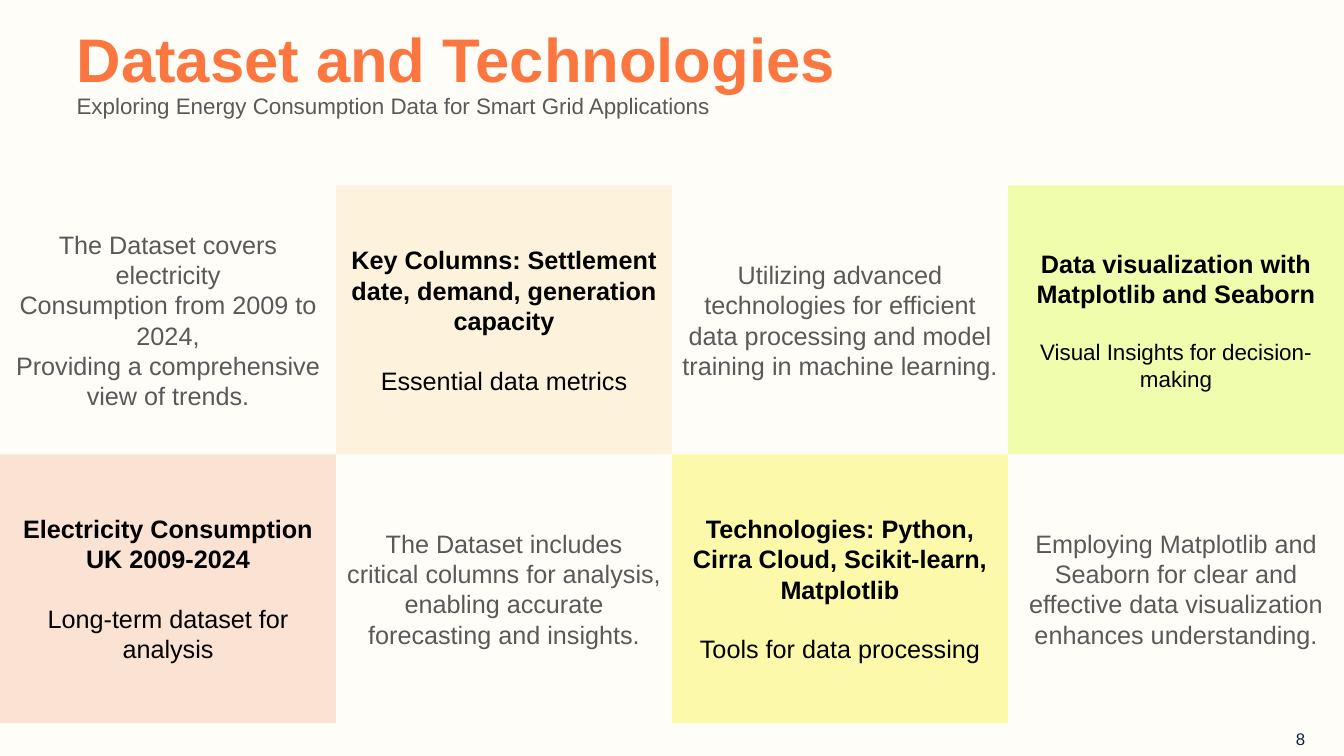
from lxml.etree import SubElement
from pptx import Presentation
from pptx.dml.color import RGBColor as RGB
from pptx.enum.shapes import MSO_SHAPE as Shape
from pptx.enum.text import MSO_ANCHOR as Anchor, MSO_AUTO_SIZE as AutoSize, PP_ALIGN as Align
from pptx.oxml.ns import qn
from pptx.util import Pt

COLORS = {
    "background": "FFFDF8", "orange": "FC7740", "gray": "595959",
    "black": "000000", "navy": "0F253E", "sand": "F8D48A",
    "peach": "F7CFB6", "yellow": "FDF66A", "lime": "DFFE5A",
}
COLUMN, ROW, GRID_TOP = 240, 192, 132.5

# Tiles: column, row, fill, opacity in percent, heading, caption, caption size
TILES = [
    (1, 0, "sand", 25, "Key Columns: Settlement date, demand, generation capacity",
     "Essential data metrics", 18),
    (0, 1, "peach", 55, "Electricity Consumption UK 2009-2024",
     "Long-term dataset for analysis", 18),
    (2, 1, "yellow", 55, "Technologies: Python, Cirra Cloud, Scikit-learn, Matplotlib",
     "Tools for data processing", 18),
    (3, 0, "lime", 47, "Data visualization with Matplotlib and Seaborn",
     "Visual Insights for decision-making", 16),
]

# Explanations: column, row, paragraphs
EXPLANATIONS = [
    (0, 0, ["The Dataset covers electricity", "Consumption from 2009 to 2024,",
            "Providing a comprehensive view of trends."]),
    (2, 0, ["Utilizing advanced technologies for efficient data processing "
            "and model training in machine learning."]),
    (1, 1, ["The Dataset includes",
            "critical columns for analysis, enabling accurate forecasting and insights."]),
    (3, 1, ["Employing Matplotlib and Seaborn for clear and effective data "
            "visualization enhances understanding."]),
]


class Deck:
    """Holds the style and the current slide."""

    font = "Arial"
    frame_format = {"word_wrap": True, "auto_size": AutoSize.NONE,
                    "vertical_anchor": Anchor.MIDDLE,
                    "margin_left": Pt(6), "margin_right": Pt(6)}

    def __init__(self, slide):
        self.slide = slide
        fill = slide.background.fill
        fill.solid()
        fill.fore_color.rgb = RGB.from_string(COLORS["background"])

    def apply(self, target, values):
        for name, value in values.items():
            setattr(target, name, value)

    def run(self, paragraph, text, size, color, bold=False):
        run = paragraph.add_run()
        run.text = text
        self.apply(run.font, {"name": self.font, "size": Pt(size), "bold": bold})
        run.font.color.rgb = RGB.from_string(COLORS[color])

    def set_lines(self, shape, lines):
        """Each line is text, size, colour, bold, space before."""
        frame = shape.text_frame
        self.apply(frame, self.frame_format)
        for index, (text, size, color, bold, gap) in enumerate(lines):
            paragraph = frame.add_paragraph() if index else frame.paragraphs[0]
            self.apply(paragraph, {"alignment": Align.CENTER, "space_before": Pt(gap)})
            self.run(paragraph, text, size, color, bold)

    def title(self, heading, subtitle):
        title = self.slide.shapes.title
        self.apply(title, {"left": Pt(47.5), "top": Pt(5.8),
                           "width": Pt(559.5), "height": Pt(94.3)})
        self.apply(title.text_frame, self.frame_format)
        self.apply(title.text_frame, {"margin_left": Pt(7.2)})
        paragraph = title.text_frame.paragraphs[0]
        self.apply(paragraph, {"alignment": Align.LEFT, "line_spacing": 0.9})
        self.run(paragraph, heading, 44, "orange", True)
        paragraph.add_line_break()
        self.run(paragraph, subtitle, 16, "gray")

    def text(self, left, top, width, height, lines):
        box = self.slide.shapes.add_textbox(Pt(left), Pt(top), Pt(width), Pt(height))
        self.set_lines(box, lines)

    def tile(self, left, top, color, opacity, lines):
        tile = self.slide.shapes.add_shape(
            Shape.RECTANGLE, Pt(left), Pt(top), Pt(COLUMN), Pt(ROW))
        tile.shadow.inherit = False
        tile.line.fill.background()
        tile.fill.solid()
        tile.fill.fore_color.rgb = RGB.from_string(COLORS[color])
        shade = tile.element.spPr.find(qn("a:solidFill"))[0]
        SubElement(shade, qn("a:alpha")).set("val", str(opacity * 1000))
        self.set_lines(tile, lines)


def main():
    prs = Presentation()
    prs.slide_width, prs.slide_height = Pt(960), Pt(540)
    deck = Deck(prs.slides.add_slide(prs.slide_layouts[5]))

    # Title and slide number
    deck.title("Dataset and Technologies",
               "Exploring Energy Consumption Data for Smart Grid Applications")
    deck.text(911, 517, 36, 22, [("8", 12, "navy", False, 0)])

    # Coloured tiles
    for column, row, color, opacity, heading, caption, size in TILES:
        deck.tile(column * COLUMN, GRID_TOP + row * ROW, color, opacity,
                  [(heading, 18, "black", True, 0),
                   (caption, size, "black", False, 21)])

    # Explanations between the tiles
    for column, row, paragraphs in EXPLANATIONS:
        deck.text(column * COLUMN, GRID_TOP + row * ROW, COLUMN, ROW,
                  [(text, 18, "gray", False, 0) for text in paragraphs])

    prs.save("out.pptx")


if __name__ == "__main__":
    main()
